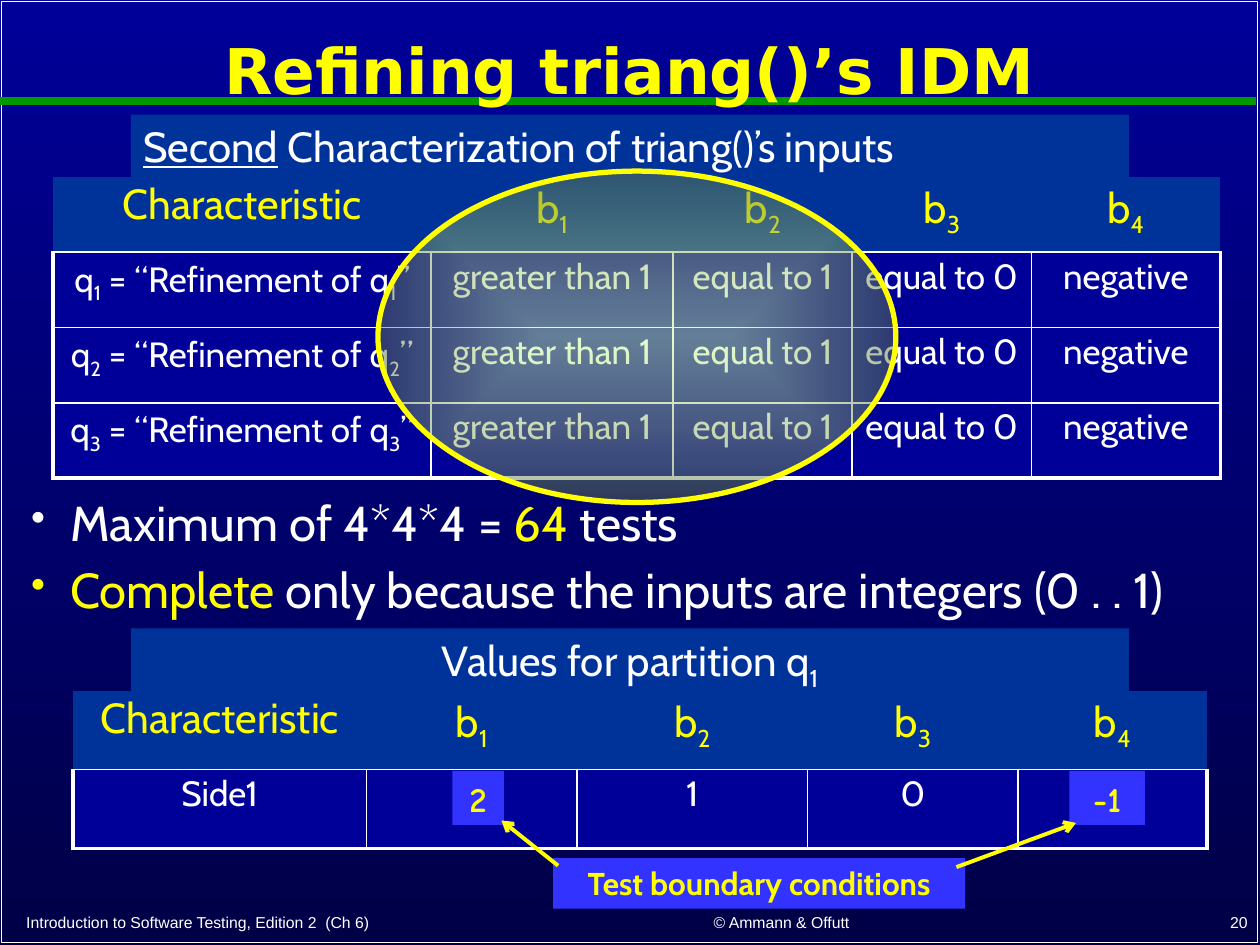
from dataclasses import dataclass
from itertools import product

from lxml.etree import SubElement
from pptx import Presentation
from pptx.dml.color import RGBColor
from pptx.enum.shapes import MSO_CONNECTOR as Connector, MSO_SHAPE as Preset
from pptx.enum.text import MSO_ANCHOR as Anchor, PP_ALIGN as Align
from pptx.oxml.ns import qn
from pptx.util import Cm, Pt

WHITE, YELLOW, GREEN = "FFFFFF", "FFFF00", "009900"
NAVY, MIDNIGHT, BAND, CALLOUT = "000099", "000047", "003399", "3333FF"
THIN, THICK = 1, 2.25


@dataclass(frozen=True)
class Box:
    left: float
    top: float
    width: float
    height: float

    def lengths(self) -> tuple:
        return Cm(self.left), Cm(self.top), Cm(self.width), Cm(self.height)


@dataclass(frozen=True)
class Style:
    size: float
    font: str = "Cabin"
    color: str = WHITE
    bold: bool = False
    align: Align = Align.CENTER
    leading: float = 1.0
    before: int = 0


@dataclass(frozen=True)
class Span:
    """Text in which an underscore lowers the character after it."""
    text: str
    color: str = ""
    underline: bool = False


@dataclass(frozen=True)
class Label:
    box: Box
    spans: tuple
    style: Style
    fill: str = ""
    anchor: Anchor = Anchor.TOP


@dataclass(frozen=True)
class Grid:
    left: float
    top: float
    widths: tuple
    row_height: float
    rows: tuple


@dataclass(frozen=True)
class Arrow:
    start: tuple
    end: tuple


HEADING = Style(24, align=Align.LEFT, before=50)
CENTERED_HEADING = Style(24, before=50)
COLUMN_HEAD = Style(24, color=YELLOW, leading=0.9, before=30)
CELL = Style(20, leading=0.9, before=30)
BULLET = Style(28, align=Align.LEFT, leading=0.9, before=30)
BOUNDARY = Style(20, "Comic Neue", YELLOW, True, before=50)
NOTE = Style(18, color=YELLOW, bold=True, before=50)

COLUMN_HEADS = ("Characteristic", "b_1", "b_2", "b_3", "b_4")
BLOCKS = ("greater than 1", "equal to 1", "equal to 0", "negative")
REFINEMENTS = Grid(
    1.07, 3.56, (7.62, 4.88, 3.61, 3.61, 3.81), 1.52,
    (COLUMN_HEADS,
     *((f"q_{n} = “Refinement of q_{n}”", *BLOCKS) for n in (1, 2, 3))))
VALUES = Grid(
    1.47, 13.92, (5.92, 4.24, 4.65, 4.24, 3.81), 1.59,
    (COLUMN_HEADS, ("Side1", "", "1", "0", "")))

TITLE = Label(Box(0.03, 0.28, 25.32, 2.41), (Span("Refining triang()’s IDM"),),
              Style(36, "DejaVu Sans", YELLOW, True, leading=0.9),
              anchor=Anchor.MIDDLE)
HEADINGS = (
    Label(Box(2.64, 2.31, 20.12, 1.27),
          (Span("Second", underline=True),
           Span(" Characterization of triang()’s inputs")), HEADING, BAND),
    Label(Box(2.64, 12.67, 20.12, 1.27),
          (Span("Values for partition q_1"),), CENTERED_HEADING, BAND),
)
CALLOUTS = (
    Label(Box(9.12, 15.54, 1.04, 1.09), (Span("2"),), BOUNDARY, CALLOUT),
    Label(Box(21.56, 15.54, 1.52, 1.09), (Span("-1"),), BOUNDARY, CALLOUT),
    Label(Box(11.15, 17.3, 8.31, 1.02), (Span("Test boundary conditions"),),
          NOTE, CALLOUT),
)
FOOTERS = tuple(
    Label(box, (Span(text),), Style(9, "Arial", align=align), anchor=Anchor.BOTTOM)
    for box, text, align in (
        (Box(0.28, 18.24, 10.95, 0.66),
         "Introduction to Software Testing, Edition 2  (Ch 6)", Align.LEFT),
        (Box(11.73, 18.21, 8.05, 0.69), "© Ammann & Offutt", Align.CENTER),
        (Box(20.12, 18.19, 5.28, 0.71), "20", Align.RIGHT)))
FINDINGS = (
    (Span("Maximum of 4*4*4 = "), Span("64", YELLOW), Span(" tests")),
    (Span("Complete", YELLOW),
     Span(" only because the inputs are integers (0 . . 1)")),
)
ARROWS = (Arrow((11.25, 17.45), (10.11, 16.54)),
          Arrow((19.28, 17.48), (21.69, 16.59)))


def rgb(color: str) -> RGBColor:
    return RGBColor.from_string(color)


def paint(fill, color: str) -> None:
    fill.solid()
    fill.fore_color.rgb = rgb(color)


def assign(target, values: dict) -> None:
    for name, value in values.items():
        setattr(target, name, value)


def write(paragraph, spans: tuple, style: Style) -> None:
    assign(paragraph, {"alignment": style.align, "line_spacing": style.leading})
    if style.before:
        before = SubElement(paragraph._p.get_or_add_pPr(), qn("a:spcBef"))
        SubElement(before, qn("a:spcPct"), val=str(style.before * 1000))
    for span in spans:
        first, *lowered = span.text.split("_")
        pieces = [(first, False)]
        for part in lowered:
            pieces += [(part[:1], True), (part[1:], False)]
        for text, is_subscript in pieces:
            if not text:
                continue
            run = paragraph.add_run()
            run.text = text
            assign(run.font, {"name": style.font, "size": Pt(style.size),
                              "bold": style.bold, "underline": span.underline})
            run.font.color.rgb = rgb(span.color or style.color)
            if is_subscript:
                run.font._element.set("baseline", "-25000")


def draw_label(shapes, label: Label) -> None:
    if label.fill:
        holder = shapes.add_shape(Preset.RECTANGLE, *label.box.lengths())
        holder.shadow.inherit = False
        paint(holder.fill, label.fill)
        holder.line.fill.background()
    else:
        holder = shapes.add_textbox(*label.box.lengths())
    assign(holder.text_frame, {"word_wrap": True, "vertical_anchor": label.anchor})
    write(holder.text_frame.paragraphs[0], label.spans, label.style)


def draw_findings(shapes) -> None:
    frame = shapes.add_textbox(*Box(0.38, 9.93, 24.64, 3.12).lengths()).text_frame
    frame.word_wrap = True
    for index, spans in enumerate(FINDINGS):
        paragraph = frame.add_paragraph() if index else frame.paragraphs[0]
        write(paragraph, spans, BULLET)
        properties = paragraph._p.get_or_add_pPr()
        assign_indent = {"marL": Cm(0.79), "indent": -Cm(0.79)}
        for name, value in assign_indent.items():
            properties.set(name, str(int(value)))
        SubElement(properties, qn("a:buSzPct"), val="85000")
        SubElement(properties, qn("a:buChar"), char="•")


def draw_border(cell, side: str, weight: float) -> None:
    """Rule one side of a cell; a weight of zero leaves it bare."""
    border = SubElement(cell._tc.get_or_add_tcPr(), qn(f"a:ln{side}"),
                        w=str(int(Pt(weight))))
    if weight:
        SubElement(SubElement(border, qn("a:solidFill")), qn("a:srgbClr"), val=WHITE)
    else:
        SubElement(border, qn("a:noFill"))


def draw_grid(shapes, grid: Grid) -> None:
    row_count, column_count = len(grid.rows), len(grid.widths)
    box = Box(grid.left, grid.top, sum(grid.widths), row_count * grid.row_height)
    table = shapes.add_table(row_count, column_count, *box.lengths()).table
    assign(table, {"first_row": False, "horz_banding": False})
    for column, width in zip(table.columns, grid.widths):
        column.width = Cm(width)
    for row, col in product(range(row_count), range(column_count)):
        cell, is_head = table.cell(row, col), row == 0
        weights = {"L": THIN if col else THICK,
                   "R": THIN if col < column_count - 1 else THICK,
                   "T": THIN,
                   "B": THIN if row < row_count - 1 else THICK}
        if is_head:
            weights = {"L": 0, "R": 0, "T": 0, "B": THIN}
        for side, weight in weights.items():
            draw_border(cell, side, weight)
        paint(cell.fill, BAND if is_head else NAVY)
        write(cell.text_frame.paragraphs[0], (Span(grid.rows[row][col]),),
              COLUMN_HEAD if is_head else CELL)


def draw_line(shapes, start: tuple, end: tuple, color: str, weight: float):
    line = shapes.add_connector(Connector.STRAIGHT, *map(Cm, start + end))
    line.line.color.rgb = rgb(color)
    line.line.width = Pt(weight)
    SubElement(line._element.spPr, qn("a:effectLst"))
    return line


def draw_arrow(shapes, arrow: Arrow) -> None:
    line = draw_line(shapes, arrow.start, arrow.end, YELLOW, 2.25)
    SubElement(line.line._get_or_add_ln(), qn("a:tailEnd"), type="arrow")


def draw_outline(shapes, preset: Preset, box: Box, color: str, weight: float):
    outline = shapes.add_shape(preset, *box.lengths())
    outline.shadow.inherit = False
    outline.fill.background()
    outline.line.color.rgb = rgb(color)
    outline.line.width = Pt(weight)
    return outline


def draw_highlight(shapes) -> None:
    """Ring the first two blocks with a see-through glow from the centre."""
    ring = draw_outline(shapes, Preset.OVAL, Box(7.62, 3.45, 10.44, 6.68), YELLOW, 3)
    ring.fill.gradient()
    for stop, color in zip(ring.fill.gradient_stops, ("CCFF99", "5E7647")):
        stop.color.rgb = rgb(color)
    gradient = ring._element.spPr.find(qn("a:gradFill"))
    for tint, opacity in zip(gradient.iter(qn("a:srgbClr")), (50, 48)):
        SubElement(tint, qn("a:alpha"), val=str(opacity * 1000))
    gradient.remove(gradient.find(qn("a:lin")))
    center = SubElement(gradient, qn("a:path"), path="shape")
    SubElement(center, qn("a:fillToRect"), dict.fromkeys("ltrb", "50000"))


def main() -> None:
    deck = Presentation()
    assign(deck, {"slide_width": Cm(25.4), "slide_height": Cm(19.05)})
    slide = deck.slides.add_slide(deck.slide_layouts[6])
    shapes, backdrop = slide.shapes, slide.background.fill
    backdrop.gradient()
    backdrop.gradient_angle = 270
    for stop, color in zip(backdrop.gradient_stops, (NAVY, MIDNIGHT)):
        stop.color.rgb = rgb(color)

    draw_outline(shapes, Preset.RECTANGLE, Box(0.03, 0.03, 25.32, 18.97), WHITE, 1)
    draw_line(shapes, (0, 2.03), (25.32, 2.03), GREEN, 4.5)
    for label in (TITLE, *HEADINGS, *FOOTERS):
        draw_label(shapes, label)
    for grid in (REFINEMENTS, VALUES):
        draw_grid(shapes, grid)
    draw_findings(shapes)
    draw_highlight(shapes)
    for callout in CALLOUTS:
        draw_label(shapes, callout)
    for arrow in ARROWS:
        draw_arrow(shapes, arrow)
    deck.save("out.pptx")


if __name__ == "__main__":
    main()
